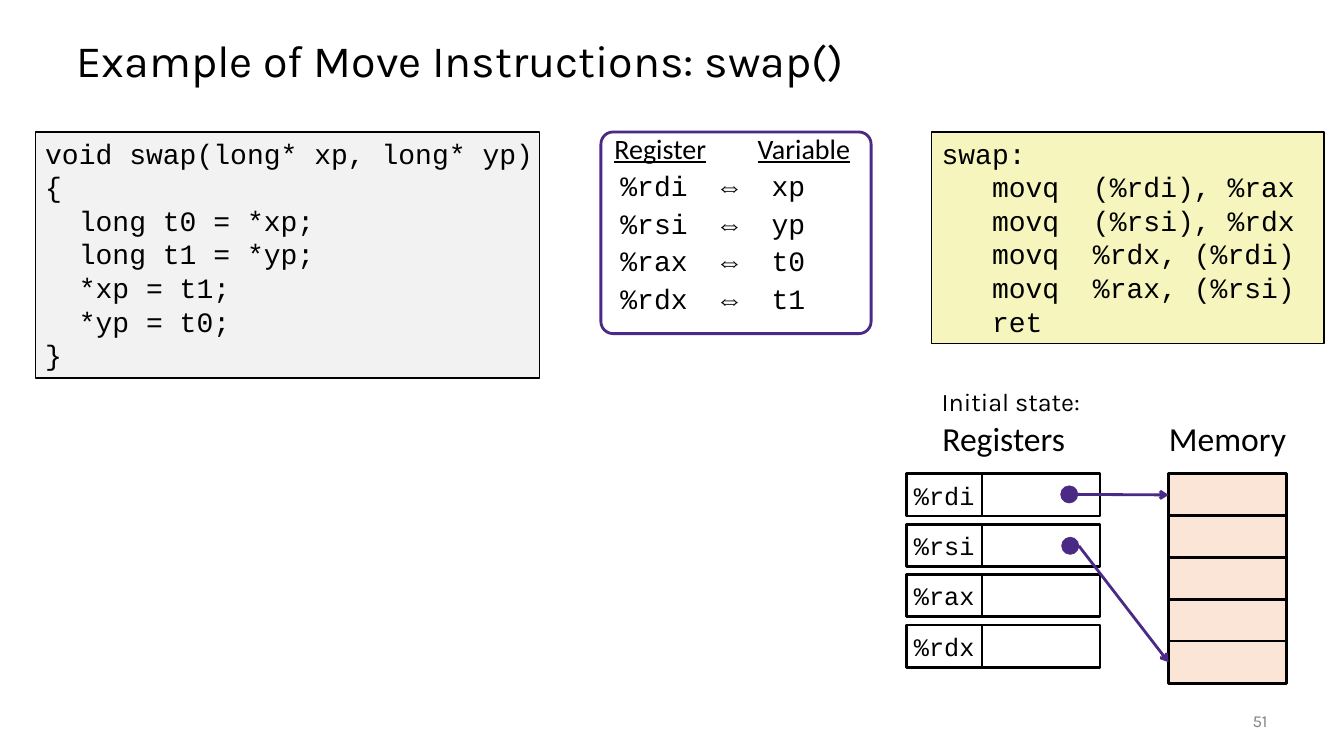
from lxml import etree
from pptx import Presentation
from pptx.dml.color import RGBColor
from pptx.enum.shapes import MSO_CONNECTOR as CONN, MSO_SHAPE as SHAPE
from pptx.enum.text import MSO_ANCHOR as ANCHOR, PP_ALIGN as ALIGN
from pptx.oxml.ns import qn
from pptx.util import Inches, Pt

BLACK = RGBColor(0x00, 0x00, 0x00)
WHITE = RGBColor(0xFF, 0xFF, 0xFF)
GREY = RGBColor(0x80, 0x80, 0x80)
PURPLE = RGBColor(0x4B, 0x2A, 0x85)
PEACH = RGBColor(0xFB, 0xE5, 0xD6)
LIGHT = RGBColor(0xF2, 0xF2, 0xF2)
YELLOW = RGBColor(0xF6, 0xF5, 0xBD)
MONO, SANS, HEAD = "Courier New", "Calibri", "Karla"

C_CODE = """void swap(long* xp, long* yp)
{
  long t0 = *xp;
  long t1 = *yp;
  *xp = t1;
  *yp = t0;
}"""
ASM_CODE = """swap:
   movq  (%rdi), %rax
   movq  (%rsi), %rdx
   movq  %rdx, (%rdi)
   movq  %rax, (%rsi)
   ret"""
VARIABLES = {"%rdi": "xp", "%rsi": "yp", "%rax": "t0", "%rdx": "t1"}


class SlideBuilder:
    """Draws the elements of one slide in a shared style."""

    def __init__(self, s):
        self.s = s

    def style(self, p, size, font, color=BLACK):
        for r in p.runs:
            r.font.size, r.font.name = Pt(size), font
            r.font.color.rgb = color

    def label(self, text, box, size, font, color=BLACK, align=ALIGN.LEFT,
              anchor=ANCHOR.TOP, wrap=True):
        tf = self.s.shapes.add_textbox(*map(Inches, box)).text_frame
        tf.text, tf.word_wrap, tf.vertical_anchor = text, wrap, anchor
        p = tf.paragraphs[0]
        p.alignment = align
        self.style(p, size, font, color)
        return p

    def shape(self, kind, box, fill=None, line=BLACK, width=2):
        sp = self.s.shapes.add_shape(kind, *map(Inches, box))
        sp.shadow.inherit = False
        if fill is None:
            sp.fill.background()
        else:
            sp.fill.solid()
            sp.fill.fore_color.rgb = fill
        sp.line.color.rgb, sp.line.width = line, Pt(width)
        return sp

    def cell(self, box, fill, text=""):
        sp = self.shape(SHAPE.RECTANGLE, box, fill)
        if text:
            tf = sp.text_frame
            tf.text, tf.word_wrap = text, False
            tf.paragraphs[0].alignment = ALIGN.CENTER
            self.style(tf.paragraphs[0], 18, MONO)
        return sp

    def code(self, text, box, fill):
        tf = self.shape(SHAPE.RECTANGLE, box, fill, width=1).text_frame
        tf.text, tf.word_wrap, tf.vertical_anchor = text, True, ANCHOR.TOP
        tf.margin_left = Inches(0.1)
        tf.margin_top = tf.margin_right = tf.margin_bottom = Inches(0.04)
        for p in tf.paragraphs:
            p.alignment = ALIGN.LEFT
            self.style(p, 20, MONO)

    def tabs(self, p, stops):
        tab_list = etree.SubElement(p._p.get_or_add_pPr(), qn("a:tabLst"))
        for stop in stops:
            etree.SubElement(tab_list, qn("a:tab"), pos=str(Inches(stop)), algn="l")

    def mapping(self, box, variables):
        sp = self.shape(SHAPE.ROUNDED_RECTANGLE, box, line=PURPLE)
        sp.adjustments[0] = 0.06
        tf = sp.text_frame
        tf.word_wrap, tf.vertical_anchor = True, ANCHOR.TOP
        p = tf.paragraphs[0]
        p.alignment, p.line_spacing = ALIGN.LEFT, 0.7
        self.tabs(p, [1.42])
        for text in ("Register", "\t", "Variable"):
            r = p.add_run()
            r.text, r.font.underline = text, text != "\t"
        self.style(p, 20, SANS)
        for register, variable in variables.items():
            p = tf.add_paragraph()
            p.text = f"\t{register}\t⇔\t{variable}"
            p.alignment, p.line_spacing, p.space_before = ALIGN.LEFT, 0.7, Pt(10)
            self.tabs(p, [0.06, 1.06, 1.56])
            self.style(p, 20, MONO)

    def pointer(self, x, y, target):
        size = 0.17
        self.shape(SHAPE.OVAL, (x, y, size, size), PURPLE, PURPLE, 0.5)
        start = Inches(x + size), Inches(y + size / 2)
        line = self.s.shapes.add_connector(CONN.STRAIGHT, *start, *start)
        line.end_connect(target, 1)
        line.line.color.rgb, line.line.width = PURPLE, Pt(2)
        etree.SubElement(line.line._get_or_add_ln(), qn("a:tailEnd"), type="arrow")
        etree.SubElement(line._element.spPr, qn("a:effectLst"))


def main():
    prs = Presentation()
    prs.slide_width, prs.slide_height = Inches(13.33), Inches(7.5)
    b = SlideBuilder(prs.slides.add_slide(prs.slide_layouts[6]))

    title = b.label("Example of Move Instructions: swap()", (0.66, 0.25, 12, 0.75),
                    32, HEAD, anchor=ANCHOR.MIDDLE)
    title.line_spacing = 0.9
    b.code(C_CODE, (0.35, 1.31, 5, 2.44), LIGHT)
    b.mapping((5.96, 1.31, 2.68, 2), VARIABLES)
    b.code(ASM_CODE, (9.24, 1.31, 3.89, 2.1), YELLOW)

    b.label("Initial state:", (9.24, 3.78, 2.94, 0.4), 18, HEAD)
    for text, x, w in (("Registers", 9.24, 1.43), ("Memory", 11.49, 1.37)):
        b.label(text, (x, 4.1, w, 0.5), 24, SANS, align=ALIGN.CENTER, wrap=False)

    top, height = 4.7, 0.42
    for i, register in enumerate(VARIABLES):
        y = top + 0.5 * i
        b.cell((8.99, y, 0.75, height), WHITE, register)
        b.cell((9.74, y, 1.17, height), WHITE)
    memory = [b.cell((11.59, top + 0.415 * i, 1.17, height), PEACH) for i in range(5)]
    b.pointer(10.52, 4.82, memory[0])
    b.pointer(10.53, 5.33, memory[-1])

    b.label("51", (11.67, 6.95, 1, 0.4), 12, HEAD, GREY, ALIGN.RIGHT, ANCHOR.MIDDLE)
    prs.save("out.pptx")


if __name__ == "__main__":
    main()
